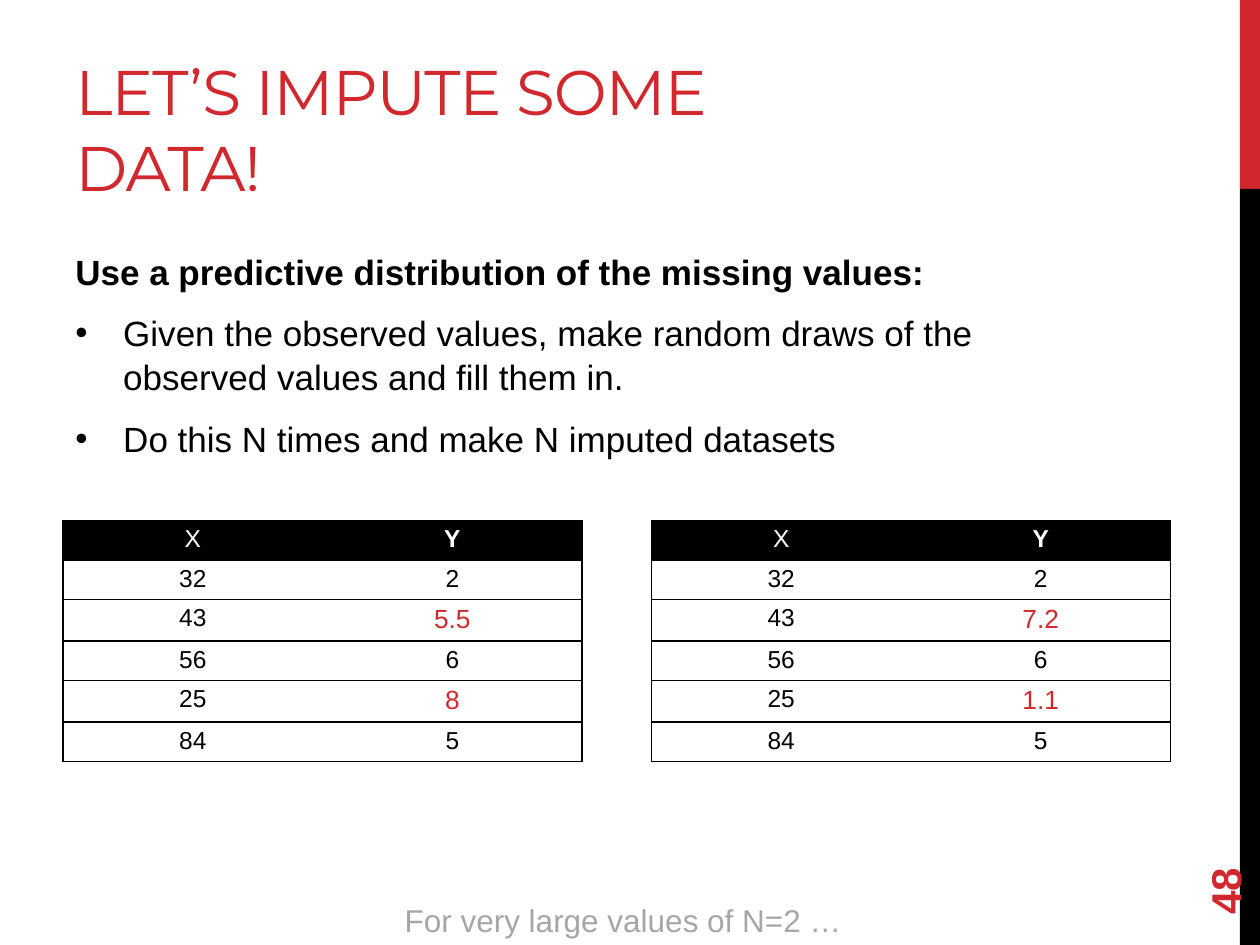
from lxml.etree import SubElement
from pptx import Presentation
from pptx.dml.color import RGBColor
from pptx.enum.shapes import MSO_SHAPE
from pptx.enum.text import MSO_ANCHOR, PP_ALIGN
from pptx.oxml.ns import qn
from pptx.util import Inches, Pt

RED, BLACK, WHITE, GRAY = "D1282E", "000000", "FFFFFF", "A6A6A6"


def color(code):
    return RGBColor.from_string(code)


def assign(item, values):
    for name, value in values.items():
        setattr(item, name, value)


class Deck:
    font = "Arial"

    def __init__(self, wide, high):
        self.file = Presentation()
        assign(self.file, {"slide_width": Inches(wide), "slide_height": Inches(high)})
        self.slide = self.file.slides.add_slide(self.file.slide_layouts[6])

    def style(self, para, size, code, bold=False, font=None):
        assign(para.font, {"name": font or self.font, "size": Pt(size), "bold": bold})
        para.font.color.rgb = color(code)

    def bar(self, box, code):
        shape = self.slide.shapes.add_shape(MSO_SHAPE.RECTANGLE, *map(Inches, box))
        shape.shadow.inherit = False
        shape.fill.solid()
        shape.fill.fore_color.rgb = color(code)
        shape.line.fill.background()

    def text(self, box, words, size, code, bold=False, font=None, frame={}, align=PP_ALIGN.LEFT, turn=0):
        shape = self.slide.shapes.add_textbox(*map(Inches, box))
        shape.rotation = turn
        assign(shape.text_frame, {"word_wrap": True, **frame})
        para = shape.text_frame.paragraphs[0]
        para.text = words
        para.alignment = align
        self.style(para, size, code, bold, font)
        return shape.text_frame

    def bullet(self, frame, words, size, code):
        para = frame.add_paragraph()
        para.text = words
        props = para._p.get_or_add_pPr()
        indent = Inches(0.38)
        props.set("marL", str(indent))
        props.set("indent", str(-indent))
        SubElement(props, qn("a:buFont"), typeface="Arial")
        SubElement(props, qn("a:buChar"), char="•")
        para.space_before = Pt(4)
        self.style(para, size, code)

    def edge(self, cell, side, shown):
        line = SubElement(cell._tc.get_or_add_tcPr(), qn(f"a:ln{side}"), w=str(Pt(1)))
        if shown:
            fill = SubElement(line, qn("a:solidFill"))
            SubElement(fill, qn("a:srgbClr"), val=BLACK)
        else:
            SubElement(line, qn("a:noFill"))

    def cell(self, cell, words, row, col, drawn):
        head = row == 0
        for side, shown in {"L": col == 0, "R": col == 1, "T": True, "B": True}.items():
            self.edge(cell, side, shown)
        cell.fill.solid()
        cell.fill.fore_color.rgb = color(BLACK if head else WHITE)
        assign(cell, {"margin_left": Inches(0.07), "margin_right": Inches(0.07),
                      "margin_top": Inches(0.04), "margin_bottom": Inches(0.04)})
        para = cell.text_frame.paragraphs[0]
        para.text = words
        para.alignment = PP_ALIGN.CENTER
        code = WHITE if head else RED if drawn else BLACK
        self.style(para, 15 if drawn else 14, code, head and col == 1)

    def table(self, left, top, width, rows, drawn):
        highs = [0.33 if row in drawn else 0.3 for row in range(len(rows))]
        box = left, top, width, sum(highs)
        grid = self.slide.shapes.add_table(len(rows), 2, *map(Inches, box)).table
        assign(grid, {"first_row": False, "horz_banding": False})
        for row, (pair, high) in enumerate(zip(rows, highs)):
            grid.rows[row].height = Inches(high)
            for col, words in enumerate(pair):
                self.cell(grid.cell(row, col), words, row, col, col == 1 and row in drawn)


def main():
    deck = Deck(10, 7.5)
    deck.bar((9.84, 0, 0.16, 1.5), RED)
    deck.bar((9.84, 1.5, 0.16, 6), BLACK)

    title = deck.text((0.5, 0.17, 6.33, 1.5), "LET’S IMPUTE SOME DATA!", 36, RED,
                      font="Montserrat", frame={"vertical_anchor": MSO_ANCHOR.BOTTOM})
    title.paragraphs[0].runs[0]._r.get_or_add_rPr().set("spc", "-60")

    body = deck.text((0.5, 1.92, 8.33, 4.78),
                     "Use a predictive distribution of the missing values:", 20, BLACK, True)
    for words in (
        "Given the observed values, make random draws of the observed values and fill them in.",
        "Do this N times and make N imputed datasets",
    ):
        deck.bullet(body, words, 20, BLACK)
    for para in body.paragraphs:
        assign(para, {"line_spacing": 1.05, "space_after": Pt(6)})

    deck.text((9, 6.44, 1.44, 0.4), "48", 24, RED, True,
              frame={"vertical_anchor": MSO_ANCHOR.MIDDLE}, turn=270)

    for left, low, high in ((0.5, "5.5", "8"), (5.17, "7.2", "1.1")):
        rows = [("X", "Y"), ("32", "2"), ("43", low), ("56", "6"), ("25", high), ("84", "5")]
        deck.table(left, 4.13, 4.12, rows, (2, 4))

    deck.text((3.01, 7.1, 3.87, 0.4), "For very large values of N=2 …", 18, GRAY,
              align=PP_ALIGN.CENTER)
    deck.file.save("out.pptx")


if __name__ == "__main__":
    main()
